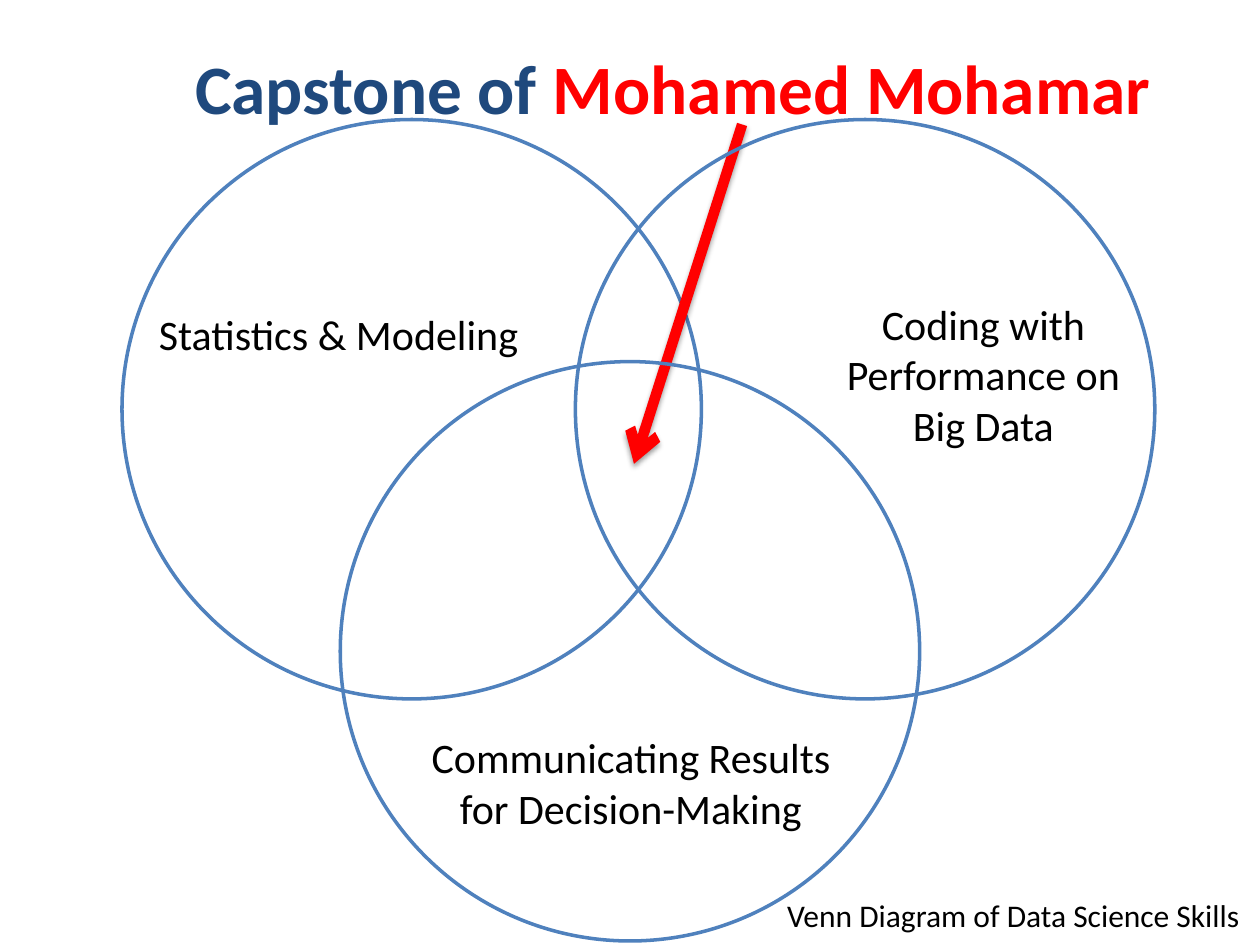
import pptx
import pptx.dml.color
import pptx.enum.shapes
import pptx.enum.text
import pptx.oxml
import pptx.oxml.ns
import pptx.util

Cm = pptx.util.Cm
Pt = pptx.util.Pt
RGBColor = pptx.dml.color.RGBColor
Align = pptx.enum.text.PP_ALIGN
AutoSize = pptx.enum.text.MSO_AUTO_SIZE

NAVY = RGBColor(0x1F, 0x49, 0x7D)
BLUE = RGBColor(0x4F, 0x81, 0xBD)
RED = RGBColor(0xFF, 0x00, 0x00)
BLACK = RGBColor(0x00, 0x00, 0x00)

CIRCLE_SIZE = 11.68


class VennSlide:
    """Holds the style and the current slide."""

    font_name = "Calibri"

    def __init__(self, presentation):
        self.slide = presentation.slides.add_slide(presentation.slide_layouts[5])
        self.shapes = self.slide.shapes

    def add_run(self, paragraph, text, size, color, bold=False):
        run = paragraph.add_run()
        run.text = text
        font_format = {"name": self.font_name, "size": Pt(size), "bold": bold}
        for name, value in font_format.items():
            setattr(run.font, name, value)
        run.font.color.rgb = color

    def title(self, box, parts, size):
        title = self.shapes.title
        for name, value in zip(("left", "top", "width", "height"), box):
            setattr(title, name, Cm(value))
        frame = title.text_frame
        frame.auto_size = AutoSize.NONE
        frame.vertical_anchor = pptx.enum.text.MSO_ANCHOR.MIDDLE
        paragraph = frame.paragraphs[0]
        paragraph.alignment = Align.CENTER
        for text, color in parts:
            self.add_run(paragraph, text, size, color, bold=True)

    def circle(self, left, top):
        shape = self.shapes.add_shape(
            pptx.enum.shapes.MSO_SHAPE.OVAL,
            Cm(left), Cm(top), Cm(CIRCLE_SIZE), Cm(CIRCLE_SIZE))
        shape.shadow.inherit = False
        shape.fill.background()
        shape.line.color.rgb = BLUE
        shape.line.width = Pt(2)

    def label(self, box, text, size=24, wrap=True, alignment=Align.CENTER):
        frame = self.shapes.add_textbox(*map(Cm, box)).text_frame
        frame_format = {"word_wrap": wrap, "auto_size": AutoSize.SHAPE_TO_FIT_TEXT}
        for name, value in frame_format.items():
            setattr(frame, name, value)
        paragraph = frame.paragraphs[0]
        paragraph.alignment = alignment
        self.add_run(paragraph, text, size, BLACK)

    def arrow(self, start, end):
        # The theme's soft shadow is kept on this arrow
        connector = self.shapes.add_connector(
            pptx.enum.shapes.MSO_CONNECTOR.STRAIGHT, *map(Cm, start + end))
        connector.line.color.rgb = RED
        connector.line.width = Pt(6)
        line = connector.line._get_or_add_ln()
        tail = pptx.oxml.parse_xml(
            f'<a:tailEnd {pptx.oxml.ns.nsdecls("a")} type="arrow"/>')
        line.append(tail)


def main():
    presentation = pptx.Presentation()
    presentation.slide_width = Cm(25.4)
    presentation.slide_height = Cm(19.05)
    venn = VennSlide(presentation)

    # Title and caption
    venn.title((3, 0.1, 21.13, 3.28),
               [("Capstone of ", NAVY), ("Mohamed Mohamar", RED)], 39.6)
    venn.label((15.62, 17.93, 9.78, 1.02), "Venn Diagram of Data Science Skills",
               size=18, wrap=False, alignment=Align.LEFT)

    # Arrow to the overlap, between the circles
    venn.circle(2.46, 2.41)
    venn.arrow((14.96, 2.51), (12.78, 9.35))
    venn.circle(11.6, 2.41)
    venn.circle(6.86, 7.29)

    # Skill names
    venn.label((8.15, 14.63, 9.14, 2.31), "Communicating Results for Decision-Making")
    venn.label((16.46, 5.89, 6.73, 3.33), "Coding with Performance on Big Data")
    venn.label((2.9, 6.1, 7.85, 1.27), "Statistics & Modeling", wrap=False)

    presentation.save("out.pptx")


if __name__ == "__main__":
    main()
